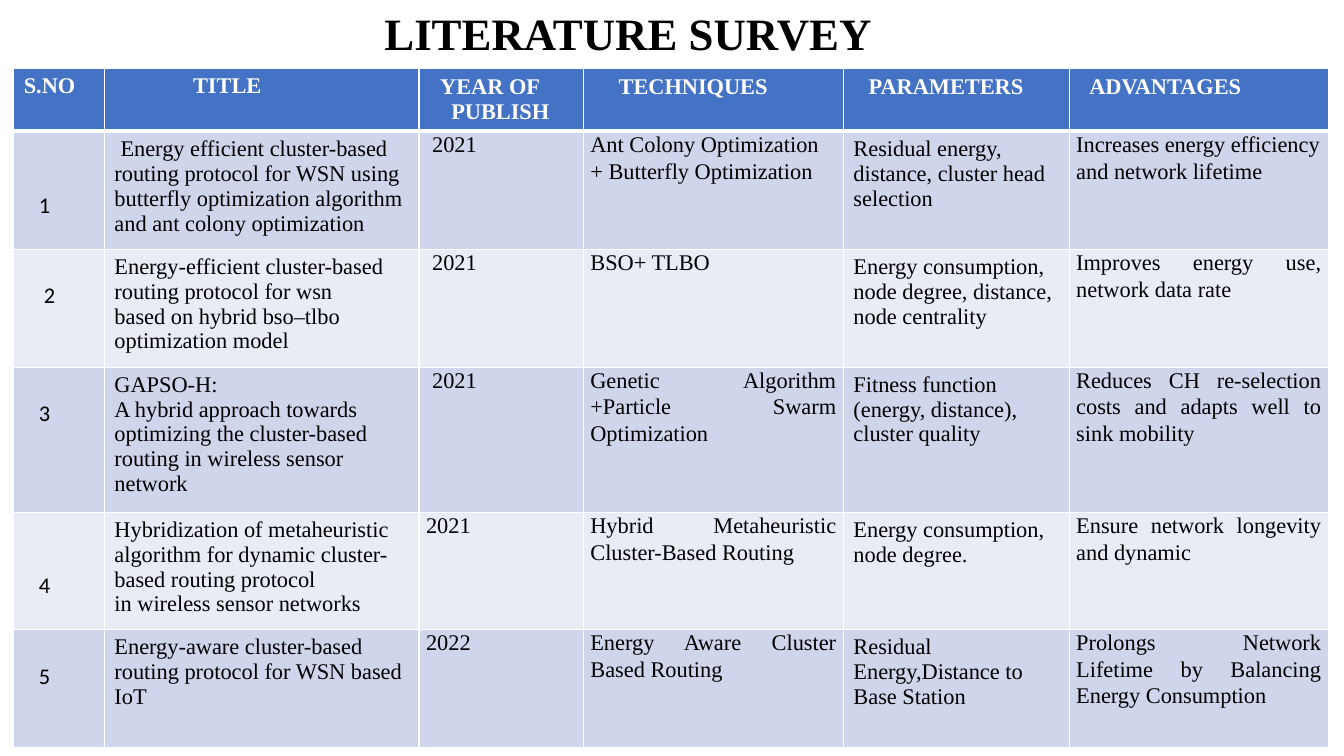
from dataclasses import dataclass

from lxml import etree
from pptx import Presentation
from pptx.dml.color import RGBColor
from pptx.enum.text import MSO_ANCHOR, MSO_AUTO_SIZE, PP_ALIGN
from pptx.oxml.ns import qn
from pptx.util import Inches, Pt

LEFT, CENTER, JUSTIFY = PP_ALIGN.LEFT, PP_ALIGN.CENTER, PP_ALIGN.JUSTIFY
MIDDLE = MSO_ANCHOR.MIDDLE
NO_AUTOFIT = MSO_AUTO_SIZE.NONE

WHITE = RGBColor(0xFF, 0xFF, 0xFF)
BLACK = RGBColor(0x00, 0x00, 0x00)
HEADER_BLUE = RGBColor(0x44, 0x72, 0xC4)
BAND_DARK = RGBColor(0xCF, 0xD5, 0xEA)
BAND_LIGHT = RGBColor(0xE9, 0xEB, 0xF5)

SERIF = "Times New Roman"
SANS = "Calibri"
SLIDE_WIDTH, SLIDE_HEIGHT = Inches(13.33), Inches(7.5)
COLUMN_PERCENTS = (6.75, 23.41, 12.23, 19.35, 16.8, 19.28)
ROW_PERCENTS = (8.27, 15.6, 15.6, 19.2, 15.5, 15.6)


@dataclass(frozen=True)
class Entry:
    paragraphs: tuple[str, ...]
    left: float = 0.1
    right: float = 0.1
    top: float = 0.05
    bottom: float = 0.05
    hanging: float = 0
    first_indent: float = 0
    align: PP_ALIGN = LEFT
    spacing: float = 1.0
    font: str = SERIF
    color: RGBColor = BLACK
    bold: bool = False


@dataclass(frozen=True)
class Study:
    number: str
    title: tuple[str, ...]
    year: str
    techniques: str
    parameters: str
    advantages: str
    number_left: float = 0.25
    number_top: float = 0.33
    year_left: float = 0.13
    title_indent: float = 0
    align: PP_ALIGN = JUSTIFY

    def entries(self) -> list[Entry]:
        def snug(text: str, left: float = 0.07) -> Entry:
            return Entry((text,), left=left, right=0.07, top=0, bottom=0,
                         align=self.align, spacing=1.06)

        return [
            Entry((self.number,), left=self.number_left, top=self.number_top, font=SANS),
            Entry(self.title, first_indent=self.title_indent),
            snug(self.year, self.year_left),
            snug(self.techniques),
            Entry((self.parameters,)),
            snug(self.advantages),
        ]


def heading(text: str, left: float, top: float = 0.06, hanging: float = 0) -> Entry:
    return Entry((text,), left=left, top=top, hanging=hanging, color=WHITE, bold=True)


HEADINGS = [
    heading("S.NO", 0.1, top=0.05),
    heading("TITLE", 0.88, top=0.05),
    heading("YEAR OF PUBLISH", 0.21, hanging=0.11),
    heading("TECHNIQUES", 0.35),
    heading("PARAMETERS", 0.25),
    heading("ADVANTAGES", 0.2),
]

STUDIES = [
    Study("1",
          ("Energy efficient cluster-based routing protocol for WSN using "
           "butterfly optimization algorithm and ant colony optimization",),
          "2021", "Ant Colony Optimization + Butterfly Optimization",
          "Residual energy, distance, cluster head selection",
          "Increases energy efficiency and network lifetime",
          number_top=0.6, title_indent=0.06, align=LEFT),
    Study("2",
          ("Energy-efficient cluster-based routing protocol for wsn",
           "based on hybrid bso–tlbo optimization model"),
          "2021", "BSO+ TLBO",
          "Energy consumption, node degree, distance, node centrality",
          "Improves energy use, network data rate", number_left=0.3),
    Study("3",
          ("GAPSO-H:", "A hybrid approach towards optimizing the cluster-based",
           "routing in wireless sensor network"),
          "2021", "Genetic Algorithm +Particle Swarm Optimization",
          "Fitness function (energy, distance), cluster quality",
          "Reduces CH re-selection costs and adapts well to sink mobility"),
    Study("4",
          ("Hybridization of metaheuristic algorithm for dynamic "
           "cluster-based routing protocol", "in wireless sensor networks"),
          "2021", "Hybrid Metaheuristic Cluster-Based Routing",
          "Energy consumption, node degree.",
          "Ensure network longevity and dynamic",
          number_top=0.59, year_left=0.07),
    Study("5",
          ("Energy-aware cluster-based routing protocol for WSN based IoT",),
          "2022", "Energy Aware Cluster Based Routing",
          "Residual Energy,Distance to Base Station",
          "Prolongs Network Lifetime by Balancing Energy Consumption",
          year_left=0.07),
]


def across(percent: float) -> int:
    return round(SLIDE_WIDTH * percent / 100)


def down(percent: float) -> int:
    return round(SLIDE_HEIGHT * percent / 100)


def add_span(para, text: str, size: int, font: str, color: RGBColor, bold: bool) -> None:
    span = para.add_run()
    span.text = text
    span.font.size = Pt(size)
    span.font.name = font
    span.font.color.rgb = color
    span.font.bold = bold


def add_borders(cell, top: float, bottom: float) -> None:
    properties = cell._tc.get_or_add_tcPr()
    for side, width in (("L", 1), ("R", 1), ("T", top), ("B", bottom)):
        line = etree.SubElement(properties, qn(f"a:ln{side}"), w=str(Pt(width)))
        fill = etree.SubElement(line, qn("a:solidFill"))
        etree.SubElement(fill, qn("a:srgbClr"), val=str(WHITE))


def fill_cell(cell, entry: Entry, background: RGBColor) -> None:
    cell.margin_left, cell.margin_right = Inches(entry.left), Inches(entry.right)
    cell.margin_top, cell.margin_bottom = Inches(entry.top), Inches(entry.bottom)
    cell.fill.solid()
    cell.fill.fore_color.rgb = background
    for index, text in enumerate(entry.paragraphs):
        frame = cell.text_frame
        para = frame.add_paragraph() if index else frame.paragraphs[0]
        para.alignment = entry.align
        para.line_spacing = entry.spacing
        properties = para._p.get_or_add_pPr()
        properties.set("marL", str(Inches(entry.hanging)))
        properties.set("indent", str(Inches(entry.first_indent - entry.hanging)))
        add_span(para, text, 16, entry.font, entry.color, entry.bold)


def add_title(page) -> None:
    box = page.shapes.title
    box.left, box.top = across(21.46), 0
    box.width, box.height = across(50.56), down(8.53)
    frame = box.text_frame
    frame.auto_size = NO_AUTOFIT
    frame.vertical_anchor = MIDDLE
    para = frame.paragraphs[0]
    para.alignment = CENTER
    add_span(para, "LITERATURE SURVEY", 32, SERIF, BLACK, True)


def add_survey(page) -> None:
    rows = [HEADINGS] + [study.entries() for study in STUDIES]
    table = page.shapes.add_table(
        len(rows), len(HEADINGS), across(1.02), down(9.1),
        across(sum(COLUMN_PERCENTS)), down(sum(ROW_PERCENTS))).table
    for column, percent in zip(table.columns, COLUMN_PERCENTS):
        column.width = across(percent)
    for row, percent in zip(table.rows, ROW_PERCENTS):
        row.height = down(percent)
    for row_index, entries in enumerate(rows):
        band = BAND_DARK if row_index % 2 else BAND_LIGHT
        background = band if row_index else HEADER_BLUE
        for column_index, entry in enumerate(entries):
            cell = table.cell(row_index, column_index)
            add_borders(cell, 3 if row_index == 1 else 1, 1 if row_index else 3)
            fill_cell(cell, entry, background)


def main() -> None:
    deck = Presentation()
    deck.slide_width, deck.slide_height = SLIDE_WIDTH, SLIDE_HEIGHT
    page = deck.slides.add_slide(deck.slide_layouts[5])
    add_title(page)
    add_survey(page)
    deck.save("out.pptx")


if __name__ == "__main__":
    main()
